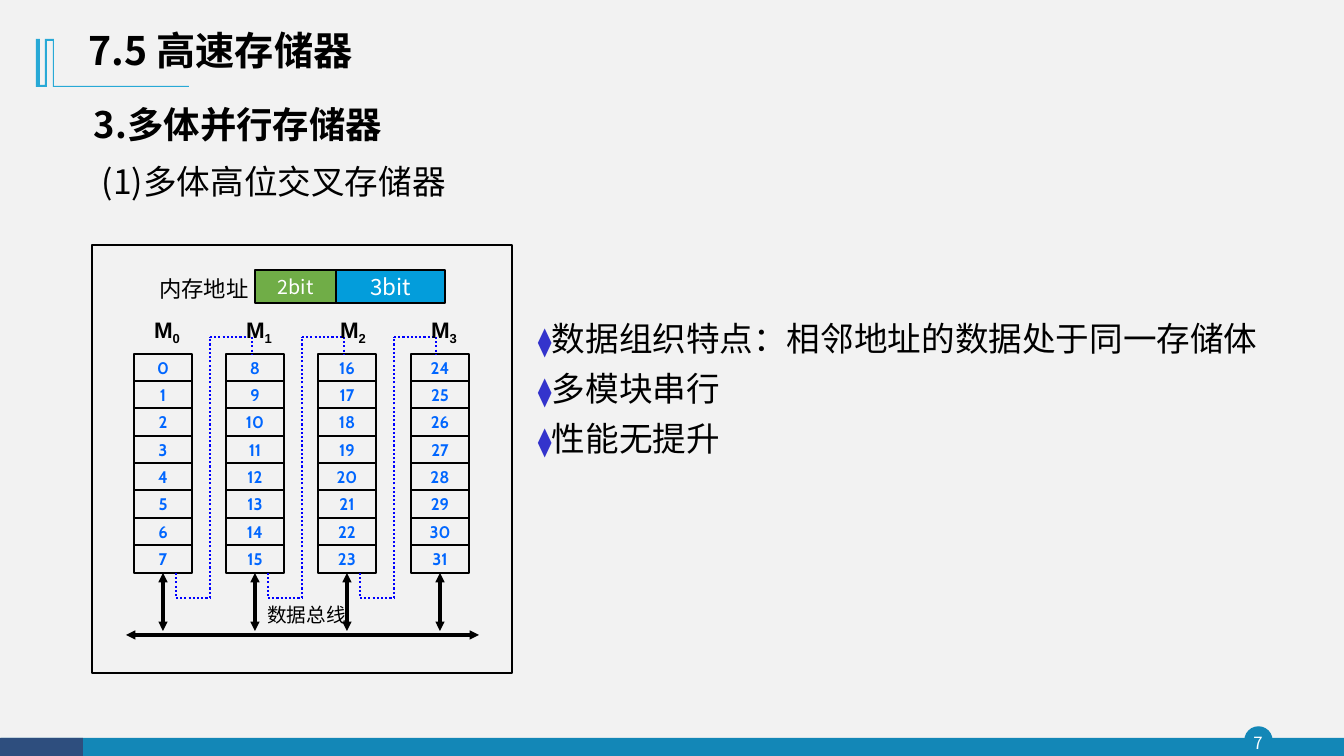
from itertools import pairwise

from lxml import etree
from pptx import Presentation
from pptx.dml.color import RGBColor
from pptx.enum.dml import MSO_LINE
from pptx.enum.shapes import MSO_CONNECTOR, MSO_SHAPE
from pptx.enum.text import MSO_ANCHOR, PP_ALIGN
from pptx.oxml.ns import qn
from pptx.util import Pt

PX = 12192000 / 1344
RECT, OVAL = MSO_SHAPE.RECTANGLE, MSO_SHAPE.OVAL
LEFT, CENTER = PP_ALIGN.LEFT, PP_ALIGN.CENTER
TOP, MIDDLE = MSO_ANCHOR.TOP, MSO_ANCHOR.MIDDLE
STRAIGHT = MSO_CONNECTOR.STRAIGHT
DOTTED = MSO_LINE.ROUND_DOT
BOTTOM_SITE = 2
JP, SC, ARIAL, CABIN = "Noto Sans CJK JP", "Noto Sans CJK SC", "Arial", "Cabin"
COLORS = {name: RGBColor.from_string(value) for name, value in {
    "background": "F2F2F2", "footer": "1387B7", "footer_dark": "2E4E7E",
    "ornament": "28A9D6", "black": "000000", "white": "FFFFFF",
    "bank_bits": "70AD47", "word_bits": "039DDB", "address": "0066FF",
    "path": "0000FF", "bullet": "3333CC"}.items()}


def style(span, size, font, color, bold=False):
    """Format a run, giving Chinese characters a Noto font."""
    span.font.size = Pt(size)
    span.font.name = font
    span.font.bold = bold
    span.font.color.rgb = COLORS[color]
    east_asian = etree.SubElement(span.font._element, qn("a:ea"))
    east_asian.set("typeface", font if font in (JP, SC) else SC)


def add_line(start, end, color, width, arrows=False):
    line = slide.shapes.add_connector(
        STRAIGHT, *(round(value * PX) for value in (*start, *end)))
    line.line.color.rgb = COLORS[color]
    line.line.width = Pt(width)
    if arrows:
        for tag in ("a:headEnd", "a:tailEnd"):
            etree.SubElement(line.line._get_or_add_ln(), qn(tag)).set("type", "triangle")
    etree.SubElement(line._element.spPr, qn("a:effectLst"))
    return line


deck = Presentation()
deck.slide_width, deck.slide_height = round(1344 * PX), round(756 * PX)
slide = deck.slides.add_slide(deck.slide_layouts[6])
slide.background.fill.solid()
slide.background.fill.fore_color.rgb = COLORS["background"]

# Title ornament
ornament_points = [(54, 86), (189, 86), (189, 87), (53, 87), (53, 41), (47, 41),
                   (47, 87), (36, 87), (36, 39), (40, 39), (40, 85), (45, 85), (45, 39)]
builder = slide.shapes.build_freeform(54, 39, scale=PX)
builder.add_line_segments(ornament_points, close=True)
ornament = builder.convert_to_shape()
ornament.shadow.inherit = False
ornament.fill.solid()
ornament.fill.fore_color.rgb = COLORS["ornament"]
ornament.line.fill.background()

# Filled and outlined shapes: kind, bounds, fill, line, line width, label, size, font, colour
shapes = [
    (OVAL, (1245, 727, 27, 27), "footer", "footer", 1, "", 12, SC, "white"),
    (RECT, (1, 738, 1343, 18), "footer", None, 0, "", 12, SC, "white"),
    (RECT, (0, 738, 83, 18), "footer_dark", None, 0, "", 12, SC, "white"),
    (RECT, (92, 245, 420, 428), None, "black", 1, "", 12, SC, "black"),
    (RECT, (255, 270, 81, 33), "bank_bits", "black", 1.5, "2bit", 14, SC, "white"),
    (RECT, (336, 270, 109, 33), "word_bits", "black", 1.5, "3bit", 16, SC, "white"),
]
BANKS, ROWS = 4, 8
CELLS_TOP, CELLS_BOTTOM, CELL_WIDTH = 354, 573, 58
bank_lefts = [134 + 277 * bank // 3 for bank in range(BANKS)]
row_edges = [CELLS_TOP + (CELLS_BOTTOM - CELLS_TOP) * row // ROWS
             for row in range(ROWS + 1)]
for bank, left in enumerate(bank_lefts):
    for row, (top, bottom) in enumerate(pairwise(row_edges)):
        shapes.append((RECT, (left, top, CELL_WIDTH, bottom - top), None, "black", 1,
                       str(bank * ROWS + row), 12, CABIN, "address"))

drawn = []
for kind, bounds, fill, line, width, label, size, font, color in shapes:
    box = slide.shapes.add_shape(kind, *(round(value * PX) for value in bounds))
    box.shadow.inherit = False
    if fill:
        box.fill.solid()
        box.fill.fore_color.rgb = COLORS[fill]
    else:
        box.fill.background()
    if line:
        box.line.color.rgb = COLORS[line]
        box.line.width = Pt(width)
    else:
        box.line.fill.background()
    if label:
        frame = box.text_frame
        frame.word_wrap = False
        frame.vertical_anchor = MIDDLE
        frame.text = label
        frame.paragraphs[0].alignment = CENTER
        style(frame.paragraphs[0].runs[0], size, font, color, font == CABIN)
    drawn.append(box)
bottom_cells = drawn[-BANKS * ROWS:][ROWS - 1::ROWS]

# Data bus and the dotted path from each bank to the next
for left, cell in zip(bank_lefts, bottom_cells):
    middle = left + CELL_WIDTH // 2
    arrow = add_line((middle, CELLS_BOTTOM), (middle, 631), "black", 2.25, arrows=True)
    arrow.begin_connect(cell, BOTTOM_SITE)
add_line((126, 635), (479, 635), "black", 2.25, arrows=True)
for left in bank_lefts[:-1]:
    corners = [(left + 42, CELLS_BOTTOM), (left + 42, 598), (left + 76, 598),
               (left + 76, 337), (left + 118, 337), (left + 118, CELLS_TOP)]
    for start, end in pairwise(corners):
        add_line(start, end, "path", 1.5).line.dash_style = DOTTED

# Text boxes: bounds, alignment, anchor, paragraphs of (text, size, font, colour, bold)
texts = [
    ((79, 18, 482, 69), LEFT, MIDDLE, [[("7.5 高速存储器", 28, JP, "black", True)]]),
    ((84, 97, 392, 54), LEFT, TOP, [[("3.多体并行存储器", 26, JP, "black", True)]]),
    ((92, 156, 392, 50), LEFT, TOP, [[("(1)多体高位交叉存储器", 24, JP, "black")]]),
    ((144, 270, 120, 37), CENTER, TOP, [[("内存地址", 16, SC, "black")]]),
    ((252, 598, 109, 33), CENTER, TOP, [[("数据总线", 14, CABIN, "black")]]),
    ((1242, 727, 32, 31), CENTER, MIDDLE, [[("7", 12, SC, "white")]]),
    ((528, 299, 774, 173), LEFT, TOP,
     [[("⧫", 20, SC, "bullet"), (feature, 24, ARIAL, "black")] for feature in
      ("数据组织特点：相邻地址的数据处于同一存储体", "多模块串行", "性能无提升")]),
]
for bank, left in enumerate((142, 234, 328, 419)):
    texts.append(((left, 311, 50, 37), CENTER, TOP,
                  [[("M", 16, ARIAL, "black", True), (str(bank), 16, ARIAL, "black", True)]]))

text_boxes = []
for bounds, alignment, anchor, paragraphs in texts:
    box = slide.shapes.add_textbox(*(round(value * PX) for value in bounds))
    frame = box.text_frame
    frame.word_wrap = True
    frame.vertical_anchor = anchor
    for number, spans in enumerate(paragraphs):
        para = frame.add_paragraph() if number else frame.paragraphs[0]
        para.alignment = alignment
        for text, *look in spans:
            span = para.add_run()
            span.text = text
            style(span, *look)
    text_boxes.append(box)

title, page_number, features = text_boxes[0], text_boxes[5], text_boxes[6]
title.text_frame.paragraphs[0].line_spacing = 0.9
frame = page_number.text_frame
frame.margin_left = frame.margin_right = frame.margin_top = frame.margin_bottom = 0
first, *others = features.text_frame.paragraphs
first.line_spacing = 1.35
for para in others:
    para.line_spacing = 0.9
    para.space_before = Pt(10)
for box in text_boxes[-BANKS:]:
    subscript = box.text_frame.paragraphs[0].runs[1]
    subscript.font._element.set("baseline", "-25000")

deck.save("out.pptx")
